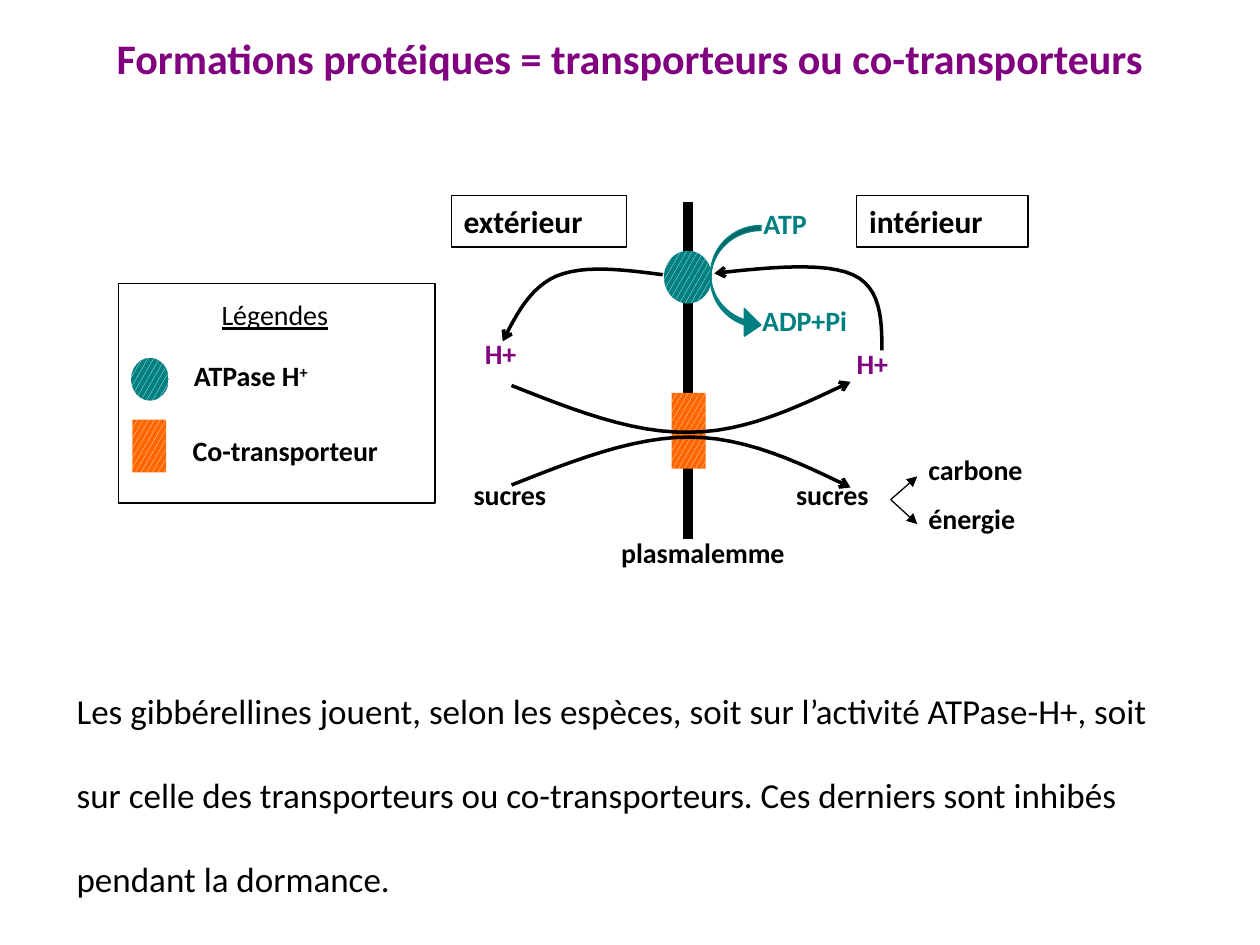
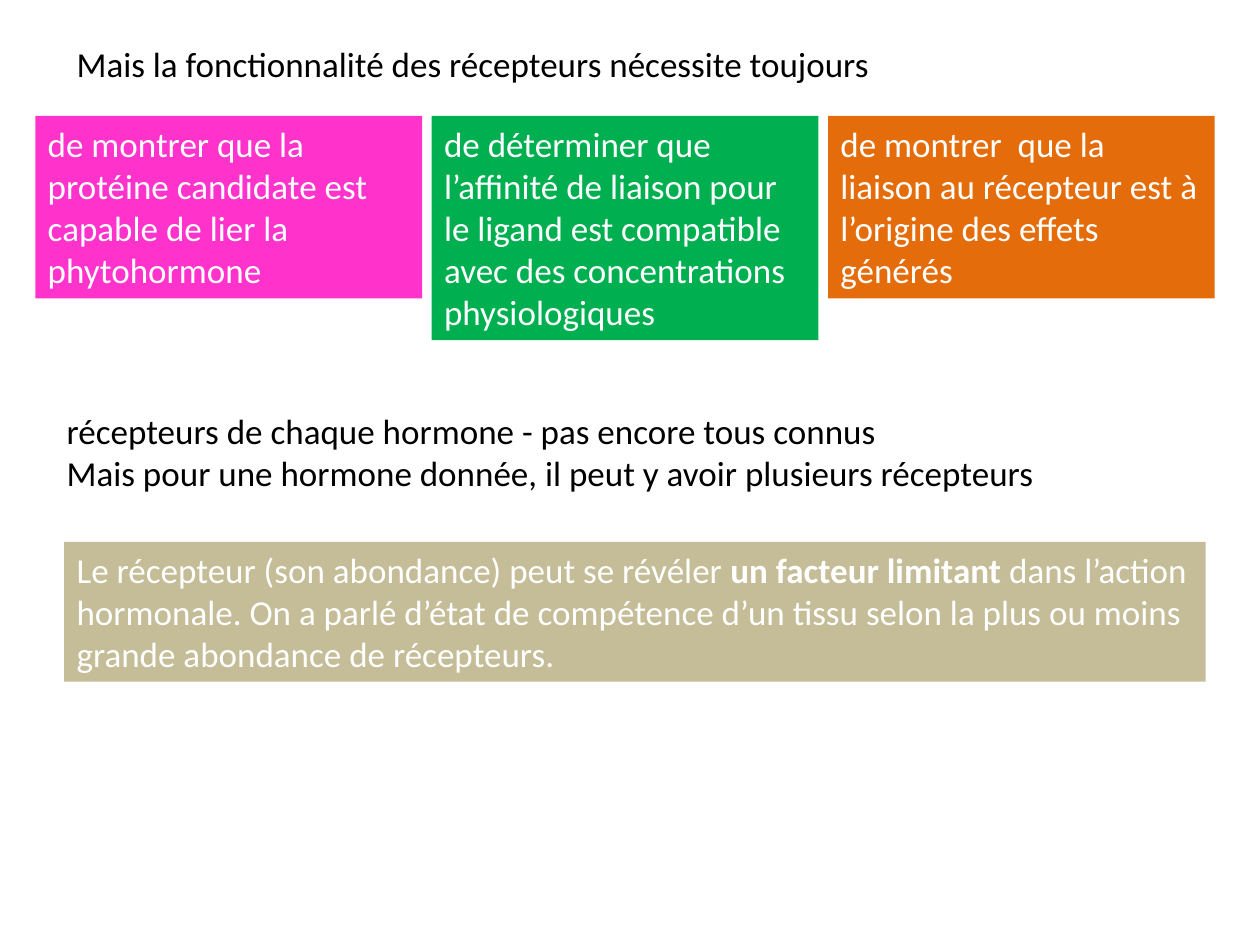
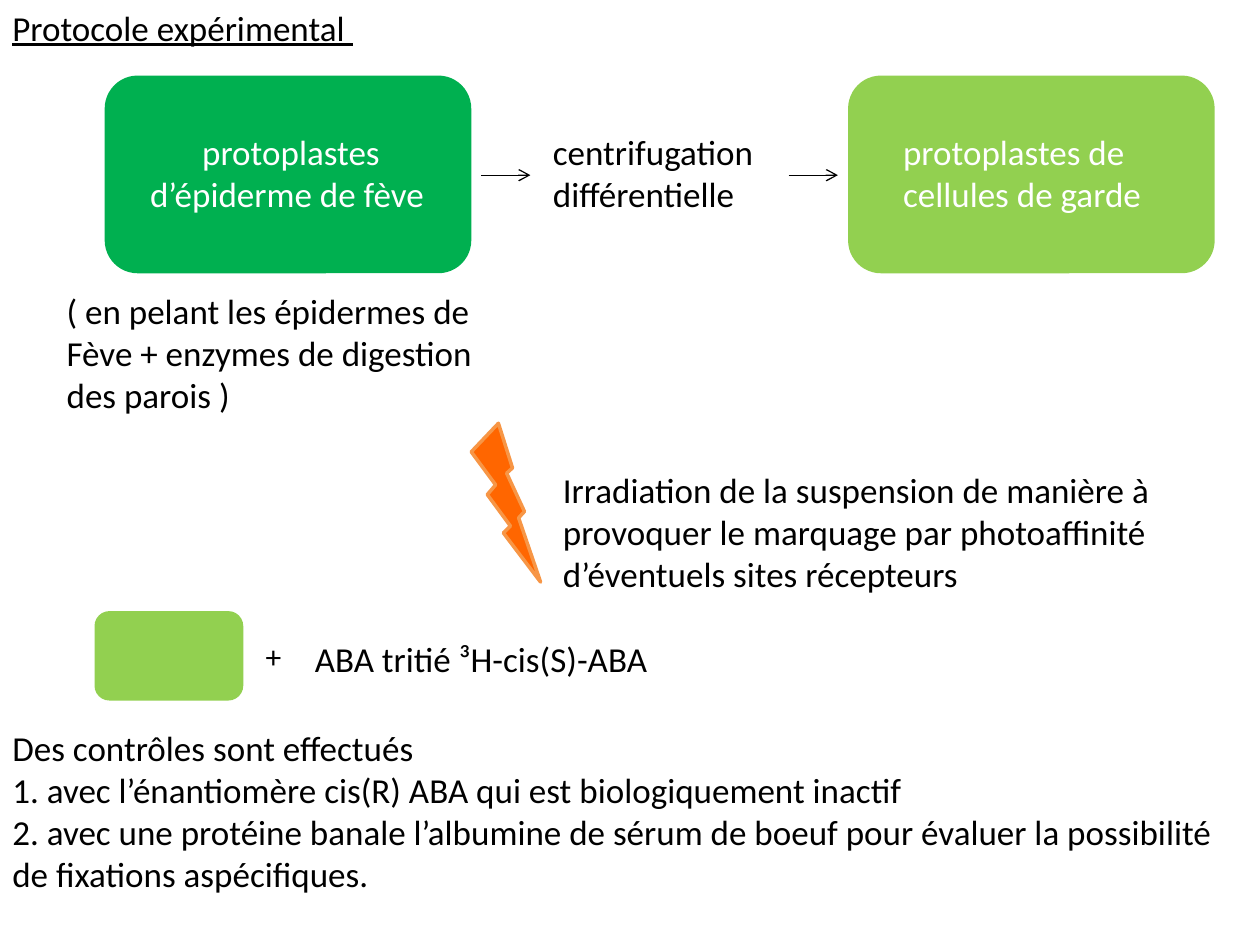
from lxml.etree import SubElement
from pptx import Presentation
from pptx.dml.color import RGBColor
from pptx.enum.dml import MSO_PATTERN
from pptx.enum.shapes import MSO_CONNECTOR, MSO_SHAPE as Preset
from pptx.enum.text import MSO_ANCHOR as Anchor, PP_ALIGN as Align
from pptx.oxml.ns import qn
from pptx.util import Pt

FONT = "Calibri"
BLACK = RGBColor(0x00, 0x00, 0x00)
WHITE = RGBColor(0xFF, 0xFF, 0xFF)
PURPLE = RGBColor(0x80, 0x00, 0x80)
TEAL = RGBColor(0x00, 0x80, 0x80)
ORANGE = RGBColor(0xFF, 0x66, 0x00)
PINK = RGBColor(0xFF, 0x33, 0xCC)
RUST = RGBColor(0xE4, 0x6C, 0x0A)
GREEN = RGBColor(0x00, 0xB0, 0x50)
LIME = RGBColor(0x92, 0xD0, 0x50)
SAND = RGBColor(0xC4, 0xBD, 0x97)
APRICOT = RGBColor(0xF7, 0x96, 0x46)
CURVE_STEPS = 12


# Elements
def write(box, paragraphs, size=20, color=BLACK, bold=None, underline=None,
          align=Align.LEFT, spacing=None, wrap=True):
    """Fill a box; a paragraph is a string or a list of (text, style) spans."""
    frame = box.text_frame
    frame.word_wrap = wrap
    frame.vertical_anchor = Anchor.TOP
    for index, content in enumerate(paragraphs):
        para = frame.add_paragraph() if index else frame.paragraphs[0]
        para.alignment = align
        para.line_spacing = spacing
        font = para.font
        font.name, font.size, font.color.rgb = FONT, Pt(size), color
        font.bold, font.underline = bold, underline
        spans = [(content, None)] if isinstance(content, str) else content
        for text, style in spans:
            span = para.add_run()
            span.text = text
            if style == "bold":
                span.font.bold = True
            elif style == "superscript":
                span._r.get_or_add_rPr().set("baseline", "30000")


def add_text(page, place, *paragraphs, **style):
    box = page.shapes.add_textbox(*map(Pt, place))
    write(box, paragraphs, **style)


def add_label(page, place, text, color=BLACK):
    add_text(page, place, text, size=16, color=color, bold=True)


def add_box(page, place, preset=Preset.RECTANGLE, fill=None, line=None, width=0.75):
    box = page.shapes.add_shape(preset, *map(Pt, place))
    box.shadow.inherit = False
    if fill is None:
        box.fill.background()
    else:
        box.fill.solid()
        box.fill.fore_color.rgb = fill
    if line is None:
        box.line.fill.background()
    else:
        box.line.color.rgb = line
        box.line.width = Pt(width)
    return box


def add_hatched(page, place, preset, color):
    fill = add_box(page, place, preset).fill
    fill.patterned()
    fill.pattern = MSO_PATTERN.LARGE_CONFETTI
    fill.fore_color.rgb = WHITE
    fill.back_color.rgb = color


def draw_stroke(shape, width, head):
    shape.line.color.rgb = BLACK
    shape.line.width = Pt(width)
    if head:
        SubElement(shape.element.spPr.find(qn("a:ln")), qn("a:tailEnd"), type=head)


def add_line(page, start, end, width=0.75, head=None):
    line = page.shapes.add_connector(MSO_CONNECTOR.STRAIGHT, *map(Pt, start + end))
    draw_stroke(line, width, head)
    SubElement(line.element.spPr, qn("a:effectLst"))


def bezier(controls, t):
    weights = ((1 - t) ** 3, 3 * t * (1 - t) ** 2, 3 * t * t * (1 - t), t ** 3)
    return tuple(Pt(sum(w * p[axis] for w, p in zip(weights, controls)))
                 for axis in (0, 1))


def add_curve(page, points):
    """Draw an arrow along joined cubic curves sharing their end points."""
    trace = [bezier(points[first:first + 4], step / CURVE_STEPS)
             for first in range(0, len(points) - 1, 3)
             for step in range(1, CURVE_STEPS + 1)]
    builder = page.shapes.build_freeform(*map(Pt, points[0]))
    builder.add_line_segments(trace, close=False)
    curve = builder.convert_to_shape()
    curve.shadow.inherit = False
    curve.fill.background()
    draw_stroke(curve, 2, "arrow")


# Slides
def build_transport(page):
    add_text(page, (0, 15.1, 720, 36),
             "Formations protéiques = transporteurs ou co-transporteurs",
             size=24, color=PURPLE, bold=True, align=Align.CENTER)

    # Membrane and its two sides
    add_line(page, (393.1, 115.2), (393.1, 308.2), width=6)
    for name, left, width in (("extérieur", 257.8, 100.1), ("intérieur", 489.6, 97.9)):
        side = add_box(page, (left, 111.6, width, 29.5), line=BLACK)
        write(side, [name], size=18, bold=True)

    # Legend
    add_box(page, (67.7, 162, 180.7, 125.3), line=BLACK, width=1)
    add_text(page, (119.5, 166.3, 128.9, 31.7), "Légendes", size=16, underline=True)
    add_text(page, (103.7, 201.6, 127.4, 33.8),
             [("ATPase H", None), ("+", "superscript")], size=16, bold=True)
    add_label(page, (103, 244.1, 146.2, 31.7), "Co-transporteur")

    # Proteins, in the legend and in the membrane
    for place in ((74.9, 204.5, 21.6, 24.5), (379.4, 143.3, 27.4, 30.2)):
        add_hatched(page, place, Preset.OVAL, TEAL)
    for place in ((75.6, 239.8, 19.4, 30.2), (383.8, 224.6, 19.4, 43.2)):
        add_hatched(page, place, Preset.RECTANGLE, ORANGE)

    # Flows of sugars and protons
    sugars_in = [(292.3, 277.2), (326.9, 263.5), (361.4, 249.8), (393.8, 249.8),
                 (426.2, 249.8), (456.5, 264.2), (486, 278.6)]
    protons_in = [(292.3, 220.3), (326.9, 234), (361.4, 247.7), (393.8, 247),
                  (426.2, 247), (455.8, 232.6), (486, 218.2)]
    protons_out = [(378.7, 157), (356.4, 154.1), (334.1, 151.2), (318.2, 157.7),
                   (303.1, 164.2), (295.2, 179.3), (287.3, 195.1)]
    protons_to_pump = [(504, 200.2), (504, 182.2), (503.3, 164.2), (487.4, 157),
                       (471.6, 149.8), (439.9, 152.6), (408.2, 156.2)]
    for flow in (sugars_in, protons_in, protons_out, protons_to_pump):
        add_curve(page, flow)

    # ATP use
    turn = add_box(page, (406.1, 128.9, 28.8, 64.8), Preset.CURVED_RIGHT_ARROW,
                   TEAL, TEAL)
    for index, value in enumerate((0.1, 0.55, 0.33)):
        turn.adjustments[index] = value

    # Fate of sugars
    for end in ((524.2, 272.2), (524.2, 299.5)):
        add_line(page, (509, 285.5), end, head="triangle")

    for text, color, *place in (
            ("plasmalemme", BLACK, 347.8, 302.4, 114.5, 36.7),
            ("sucres", BLACK, 263.5, 269.3, 68, 38.9),
            ("sucres", BLACK, 447.8, 269.3, 68, 38.9),
            ("H+", PURPLE, 482.4, 194.4, 41.8, 36.7),
            ("H+", PURPLE, 270, 188.6, 41.8, 36.7),
            ("ATP", TEAL, 429.1, 114.5, 57.6, 34.6),
            ("ADP+Pi", TEAL, 428.4, 169.9, 72.7, 34.6),
            ("carbone", BLACK, 523.4, 254.9, 87, 28),
            ("énergie", BLACK, 523.4, 283, 87, 28)):
        add_label(page, place, text, color)

    add_text(page, (36.7, 366.5, 652.3, 152.6),
             "Les gibbérellines jouent, selon les espèces, soit sur l’activité "
             "ATPase-H+, soit sur celle des transporteurs ou co-transporteurs. "
             "Ces derniers sont inhibés pendant la dormance.", spacing=2.0)


def build_receptors(page):
    add_text(page, (36.7, 20.9, 640.8, 31.7),
             "Mais la fonctionnalité des récepteurs nécessite toujours",
             align=Align.JUSTIFY)

    # Three criteria
    criteria = (
        (PINK, 104.4, "de montrer que la protéine candidate est capable de lier "
                      "la phytohormone"),
        (GREEN, 128.2, "de déterminer que l’affinité de liaison pour le ligand est "
                       "compatible avec des concentrations physiologiques"),
        (RUST, 104.4, "de montrer  que la liaison au récepteur est à l’origine des "
                      "effets générés"))
    for column, (color, height, text) in enumerate(criteria):
        box = add_box(page, (20.2 + 226.5 * column, 66.2, 221, height), fill=color)
        write(box, [text], color=WHITE)

    add_text(page, (31, 230.4, 568, 55.4),
             "récepteurs de chaque hormone - pas encore tous connus",
             "Mais pour une hormone donnée, il peut y avoir plusieurs récepteurs",
             wrap=False)

    # Conclusion
    band = add_box(page, (36.7, 309.6, 652.3, 79.9), fill=SAND)
    write(band, [[("Le récepteur (son abondance) peut se révéler ", None),
                  ("un facteur limitant ", "bold"),
                  ("dans l’action hormonale. On a parlé d’état de compétence d’un "
                   "tissu selon la plus ou moins grande abondance de récepteurs.",
                   None)]], color=WHITE)


def build_protocol(page):
    add_text(page, (0, 0, 211, 31.7), "Protocole expérimental ",
             underline=True, wrap=False)

    # Cell preparation
    for color, *place in ((GREEN, 59.8, 43.2, 209.5, 113),
                          (LIME, 484.6, 43.2, 209.5, 113),
                          (LIME, 54, 349.2, 85, 51.1)):
        add_box(page, place, Preset.FLOWCHART_ALTERNATE_PROCESS, color)
    epidermis = add_box(page, (76.3, 71.3, 180, 55.4), fill=GREEN)
    write(epidermis, ["protoplastes d’épiderme de fève "], color=WHITE,
          align=Align.CENTER)
    add_text(page, (308.9, 71.3, 180, 55.4), "centrifugation différentielle")
    add_text(page, (509, 71.3, 180, 55.4), "protoplastes de cellules de garde",
             color=WHITE)
    for left in (275, 450.7):
        add_line(page, (left, 100.1), (left + 28.1, 100.1), head="arrow")
    add_text(page, (31, 162, 266.4, 79.9),
             "( en pelant les épidermes de Fève + enzymes de digestion des parois )")

    # Irradiation
    add_box(page, (269.3, 241.9, 39.6, 90.7), Preset.LIGHTNING_BOLT,
            ORANGE, APRICOT, 2)
    add_text(page, (314.6, 264.2, 368.6, 79.9),
             "Irradiation de la suspension de manière à provoquer le marquage par "
             "photoaffinité d’éventuels sites récepteurs")
    add_text(page, (144.7, 360.7, 24.5, 28.8), "+", size=18, wrap=False)
    add_text(page, (172.8, 360.7, 215.3, 31.7), "ABA tritié ³H-cis(S)-ABA")

    # Controls
    add_text(page, (0, 411.8, 720, 128.2),
             "Des contrôles sont effectués",
             "1. avec l’énantiomère cis(R) ABA qui est biologiquement inactif",
             "2. avec une protéine banale l’albumine de sérum de boeuf pour évaluer "
             "la possibilité de fixations aspécifiques.")


def main():
    deck = Presentation()
    deck.slide_width, deck.slide_height = Pt(720), Pt(540)
    blank = deck.slide_layouts[6]
    for build in (build_transport, build_receptors, build_protocol):
        build(deck.slides.add_slide(blank))
    deck.save("out.pptx")


if __name__ == "__main__":
    main()
